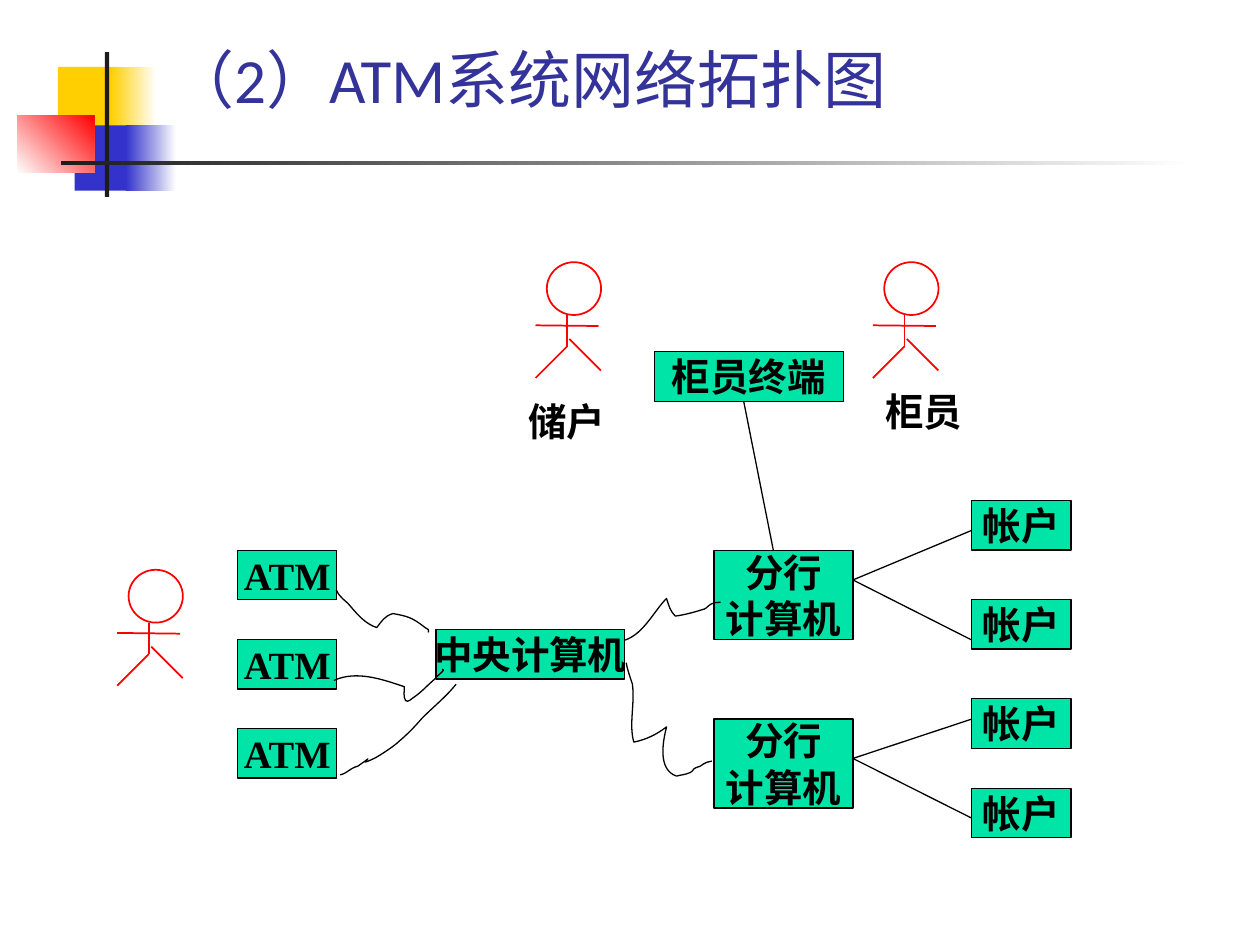
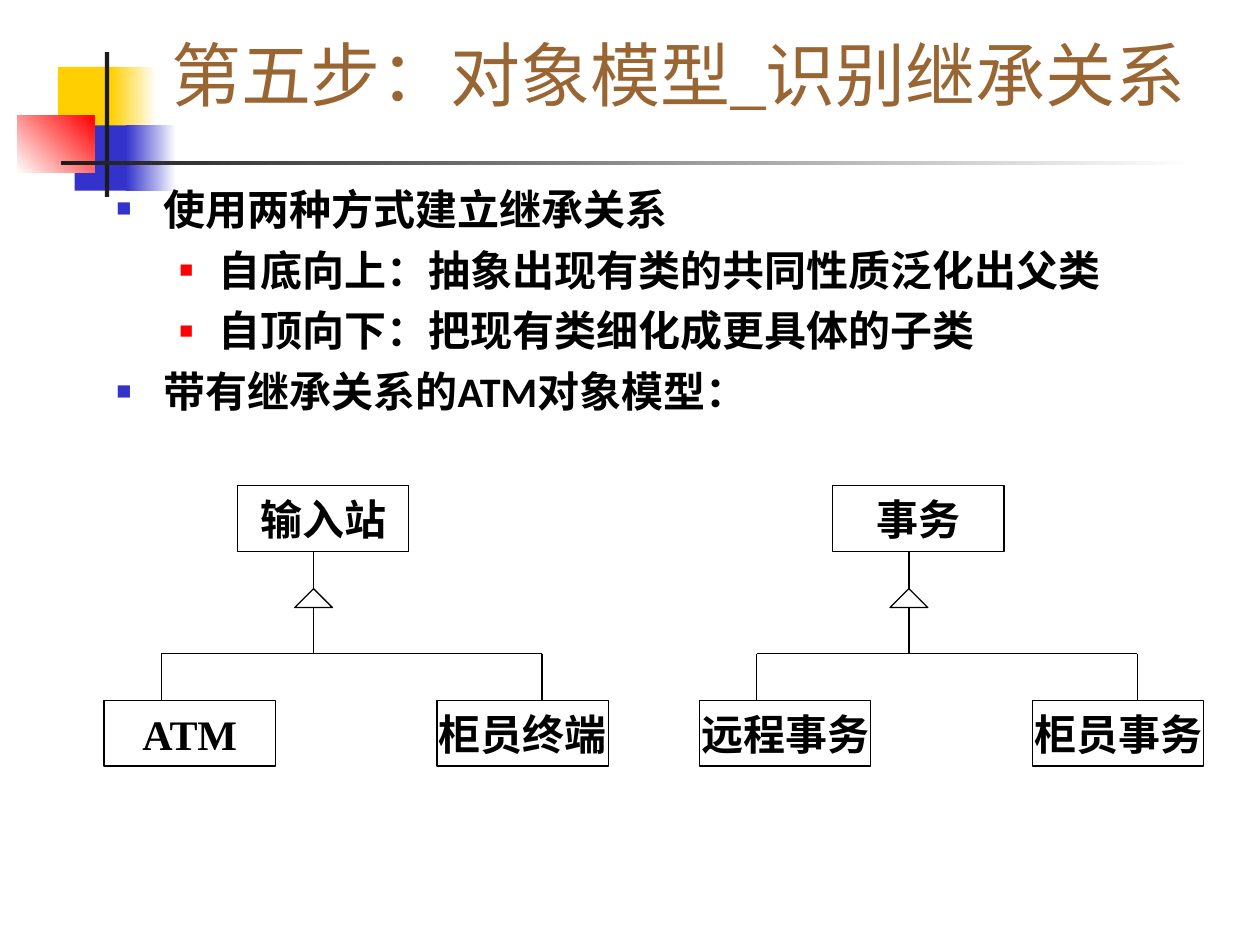
from dataclasses import dataclass
from lxml.etree import SubElement
from pptx import Presentation
from pptx.dml.color import RGBColor
from pptx.enum.shapes import MSO_CONNECTOR, MSO_SHAPE
from pptx.enum.text import MSO_ANCHOR, PP_ALIGN
from pptx.oxml.ns import qn
from pptx.util import Pt


@dataclass(frozen=True)
class Theme:
    yellow: str = "FFCF01"
    blue: str = "3333CC"
    red: str = "FF0000"
    dark: str = "1C1C1C"
    white: str = "FFFFFF"
    black: str = "000000"
    node: str = "00E4A8"
    navy: str = "333399"
    brown: str = "996633"
    sans: str = "Calibri"
    serif: str = "Times New Roman"
    title_small: int = 36
    title_large: int = 40
    node_size: int = 22
    body_size: int = 24
    thin: float = 0.75
    actor_line: float = 1


T = Theme()

# Network wires: a start point, then Bezier segments (two controls and an end)
WIRES = [
    [(192.2, 337),
     (194.4, 342), (197.3, 342.7), (200.2, 346.3),
     (204.5, 351.4), (208.8, 356.4), (215.3, 358.6),
     (218.2, 355), (219.6, 352.1), (224.6, 350.6),
     (232.6, 352.1), (235.4, 352.8), (241.9, 357.8),
     (245.5, 360.7), (244.8, 358.6), (244.8, 361.4)],
    [(190.8, 388.8),
     (203.8, 383), (218.2, 388.1), (231.1, 392.4),
     (231.1, 395.3), (230.4, 398.2), (231.8, 400.3),
     (233.3, 401.8), (235.4, 398.9), (236.9, 398.2),
     (241.9, 394.6), (244.1, 391.7), (248.4, 388.1),
     (249.8, 385.9), (255.6, 382.3), (252.7, 382.3)],
    [(194.4, 442.8),
     (199.4, 441.4), (199.4, 439.2), (204.5, 437.8),
     (218.9, 427.7), (200.2, 439.9), (213.8, 433.4),
     (216.7, 432), (225.4, 426.2), (227.5, 424.1),
     (232.6, 419.8), (236.9, 415.4), (241.2, 410.4),
     (247.7, 403.9), (254.9, 398.2), (260.6, 391)],
    [(357.1, 365.8),
     (367.9, 362.2), (373.7, 349.2), (380.9, 342),
     (382.3, 346.3), (383, 349.2), (385.9, 352.1),
     (391, 351.4), (396.7, 349.9), (401, 348.5),
     (405.4, 347.8), (403.9, 344.2), (411.8, 344.2)],
    [(357.8, 378.7),
     (358.6, 383), (360, 386.6), (361.4, 391),
     (362.9, 402.5), (359.3, 414), (362.2, 424.1),
     (369.4, 422.6), (375.1, 419.8), (380.9, 415.4),
     (378.7, 424.1), (375.8, 439.9), (386.6, 443.5),
     (388.8, 442.8), (391.7, 442.8), (394.6, 441.4),
     (395.3, 441.4), (396, 439.9), (396.7, 439.2),
     (397.4, 438.5), (398.9, 438.5), (400.3, 437.8),
     (401, 437), (402.5, 436.3), (403.9, 435.6),
     (404.6, 435.6), (406.8, 434.9), (406.8, 434.9)],
]


def rgb(color):
    return RGBColor.from_string(color)


def style_text(tf, size, font, color=T.black, bold=True, align=None):
    for p in tf.paragraphs:
        p.alignment = align
        for r in p.runs:
            r.font.size, r.font.name, r.font.bold = Pt(size), font, bold
            r.font.color.rgb = rgb(color)


# Basic elements; s is a slide or a group
def add_outline(s, kind, x, y, w, h, fill=None, line=None, width=T.thin):
    sp = s.shapes.add_shape(kind, Pt(x), Pt(y), Pt(w), Pt(h))
    sp.shadow.inherit = False
    if fill:
        sp.fill.solid()
        sp.fill.fore_color.rgb = rgb(fill)
    else:
        sp.fill.background()
    if line:
        sp.line.color.rgb = rgb(line)
        sp.line.width = Pt(width)
    else:
        sp.line.fill.background()
    return sp


def add_gradient(s, x, y, w, h, start, end, angle=0):
    sp = add_outline(s, MSO_SHAPE.RECTANGLE, x, y, w, h)
    sp.fill.gradient()
    sp.fill.gradient_angle = angle
    for stop, color in zip(sp.fill.gradient_stops, (start, end)):
        stop.color.rgb = rgb(color)


def add_line(s, x1, y1, x2, y2, color=T.black, width=T.thin):
    cx = s.shapes.add_connector(MSO_CONNECTOR.STRAIGHT,
                                Pt(x1), Pt(y1), Pt(x2), Pt(y2))
    cx.line.color.rgb = rgb(color)
    cx.line.width = Pt(width)
    SubElement(cx._element.spPr, qn("a:effectLst"))


def add_box(s, text, x, y, w, h, size=T.node_size, fill=T.node):
    sp = add_outline(s, MSO_SHAPE.RECTANGLE, x, y, w, h, fill, T.black)
    tf = sp.text_frame
    tf.text = text
    tf.word_wrap = False
    tf.vertical_anchor = MSO_ANCHOR.MIDDLE
    style_text(tf, size, T.serif, align=PP_ALIGN.CENTER)


def add_text(s, x, y, w, h, text):
    tf = s.shapes.add_textbox(Pt(x), Pt(y), Pt(w), Pt(h)).text_frame
    tf.word_wrap = True
    tf.text = text
    return tf


def add_label(s, text, x, y):
    tf = add_text(s, x, y, 90.7, 33.8, text)
    tf.paragraphs[0].space_before = Pt(13.8)
    style_text(tf, T.node_size, T.serif)


def add_wire(s, points):
    points = [(Pt(x), Pt(y)) for x, y in points]
    fb = s.shapes.build_freeform(*points[0])
    fb.add_line_segments(points[3::3], close=False)
    sp = fb.convert_to_shape()
    sp.shadow.inherit = False
    sp.fill.background()
    sp.line.color.rgb = rgb(T.black)
    sp.line.width = Pt(T.thin)
    # Turn each straight segment into a Bezier curve
    for i, seg in enumerate(list(sp._element.iter(qn("a:lnTo")))):
        seg.tag = qn("a:cubicBezTo")
        for n, (x, y) in enumerate(points[3 * i + 1:3 * i + 3]):
            pt = SubElement(seg, qn("a:pt"), x=str(x - sp.left), y=str(y - sp.top))
            seg.insert(n, pt)


def add_actor(s, x, y):
    g = s.shapes.add_group_shape()
    for x1, y1, x2, y2 in [(18, 30.2, 18, 48.2), (0, 36.1, 36, 36.5),
                           (18, 48.2, 0, 66.2), (19.4, 43.9, 37.4, 61.9)]:
        add_line(g, x + x1, y + y1, x + x2, y + y2, T.red, T.actor_line)
    add_outline(g, MSO_SHAPE.OVAL, x + 6.5, y, 31, 30.2,
                line=T.red, width=T.actor_line)


def add_bullets(s, items):
    tf = add_text(s, 59.4, 101.1, 612, 324, "\n".join(text for _, text in items))
    style_text(tf, T.body_size, T.sans)
    levels = [(27, -27, T.blue, 60), (58.5, -22.5, T.red, 55)]
    for p, (level, _) in zip(tf.paragraphs, items):
        margin, indent, color, percent = levels[level]
        p.level = level
        p.space_before = Pt(6)
        pPr = p._p.get_or_add_pPr()
        pPr.set("marL", str(Pt(margin)))
        pPr.set("indent", str(Pt(indent)))
        SubElement(SubElement(pPr, qn("a:buClr")), qn("a:srgbClr"), val=color)
        SubElement(pPr, qn("a:buSzPct"), val=str(percent * 1000))
        SubElement(pPr, qn("a:buFont"), typeface="Arial")
        SubElement(pPr, qn("a:buChar"), char="■")


def add_inheritance(s, x, parent, children):
    g = s.shapes.add_group_shape()
    stem, bar_left, bar_right = x + 119.7, x + 32.7, x + 250.2
    bar_y, child_y = 373.5, 400.4
    add_box(g, parent, x + 76.2, 277.6, 97.9, 37.4, T.body_size, None)
    for child, dx in zip(children, (0, 190.3)):
        add_box(g, child, x + dx, child_y, 97.9, 37.4, T.body_size, None)
    add_line(g, stem, 315, stem, 336.4)
    add_outline(g, MSO_SHAPE.ISOSCELES_TRIANGLE, stem - 10.8, 336.4, 21.6, 10.8,
                line=T.black)
    add_line(g, stem, 347.2, stem, bar_y)
    add_line(g, bar_left, bar_y, bar_right, bar_y)
    for drop in (bar_left, bar_right):
        add_line(g, drop, bar_y, drop, child_y)


# Shared frame: coloured squares and rules, held by the layout
def add_frame(s):
    rect = MSO_SHAPE.RECTANGLE
    add_outline(s, rect, 33.1, 38.2, 34.6, 37.4, T.yellow)
    add_gradient(s, 63.4, 38.2, 25.9, 37.4, T.yellow, T.white)
    add_outline(s, rect, 42.7, 71.6, 33.1, 37.4, T.blue)
    add_gradient(s, 72, 71.6, 28.8, 37.4, T.blue, T.white)
    add_gradient(s, 9.9, 65.8, 43.9, 33.1, T.white, T.red, angle=45)
    add_outline(s, rect, 59.9, 29.8, 2.5, 82.8, T.dark)
    add_gradient(s, 34.6, 92, 648, 2.3, T.dark, T.white)
    tree = s.slide_layout.shapes._spTree
    for i, sp in enumerate(list(s.shapes)):
        sp._element.nvSpPr.cNvPr.set("id", str(100 + i))
        tree.append(sp._element)


def add_title(s, title, size, font, color):
    tf = add_text(s, 90.7, 15, 613.5, 54.7, title)
    tf.vertical_anchor = MSO_ANCHOR.BOTTOM
    style_text(tf, size, font, color, bold=False)


def build_topology(s):
    add_title(s, "（2）ATM系统网络拓扑图", T.title_small, T.sans, T.navy)
    # Nodes
    for i in range(3):
        add_box(s, "ATM", 135.8, 314.5 + 50.9 * i, 56.7, 28.3)
    add_box(s, "中央计算机", 249.1, 359.7, 108, 28.3)
    add_box(s, "柜员终端", 373.9, 201, 108, 28.3)
    for y in (314.6, 410.8):
        add_box(s, "分行\n计算机", 408, y, 79.4, 51)
    for y in (286, 342.6, 399.3, 450.5):
        add_box(s, "帐户", 555, y, 57, 28.3)
    # Links
    for wire in WIRES:
        add_wire(s, wire)
    for branch_y, account_ys in [(331.4, (303.2, 365.6)), (433.4, (411, 467.4))]:
        for account_y in account_ys:
            add_line(s, 487.4, branch_y, 555, account_y)
    add_line(s, 425, 229.5, 442, 314.8)
    # People
    for x, y in [(67, 325.6), (306, 149.8), (498.8, 149.8)]:
        add_actor(s, x, y)
    add_label(s, "储户", 294.8, 223.9)
    add_label(s, "柜员", 498.7, 218.2)


def build_inheritance(s):
    add_title(s, "第五步：对象模型_识别继承关系", T.title_large, T.serif, T.brown)
    add_bullets(s, [
        (0, "使用两种方式建立继承关系"),
        (1, "自底向上：抽象出现有类的共同性质泛化出父类"),
        (1, "自顶向下：把现有类细化成更具体的子类"),
        (0, "带有继承关系的ATM对象模型："),
    ])
    add_inheritance(s, 59.5, "输入站", ("ATM", "柜员终端"))
    add_inheritance(s, 399.7, "事务", ("远程事务", "柜员事务"))


def main():
    prs = Presentation()
    prs.slide_width, prs.slide_height = Pt(720), Pt(540)
    blank = prs.slide_layouts[6]
    topology, inheritance = (prs.slides.add_slide(blank) for _ in range(2))
    add_frame(topology)
    build_topology(topology)
    build_inheritance(inheritance)
    prs.save("out.pptx")


if __name__ == "__main__":
    main()
